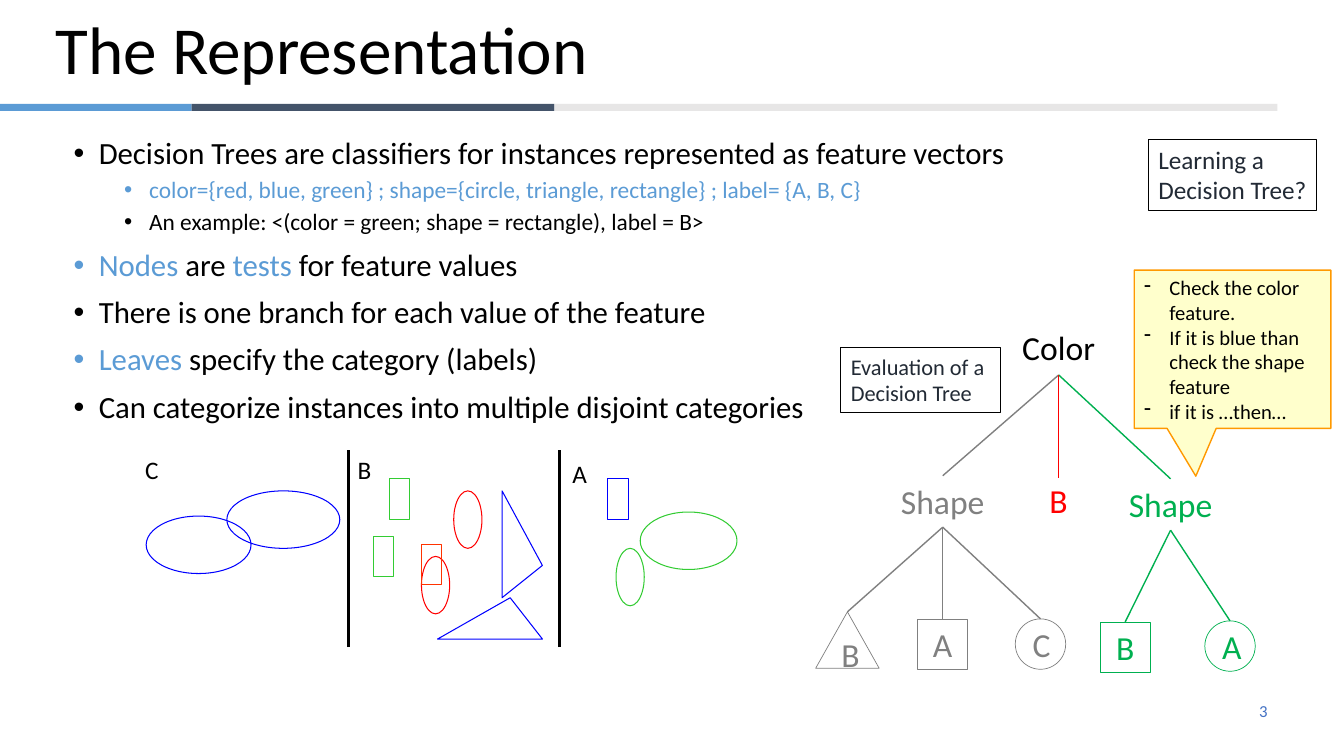
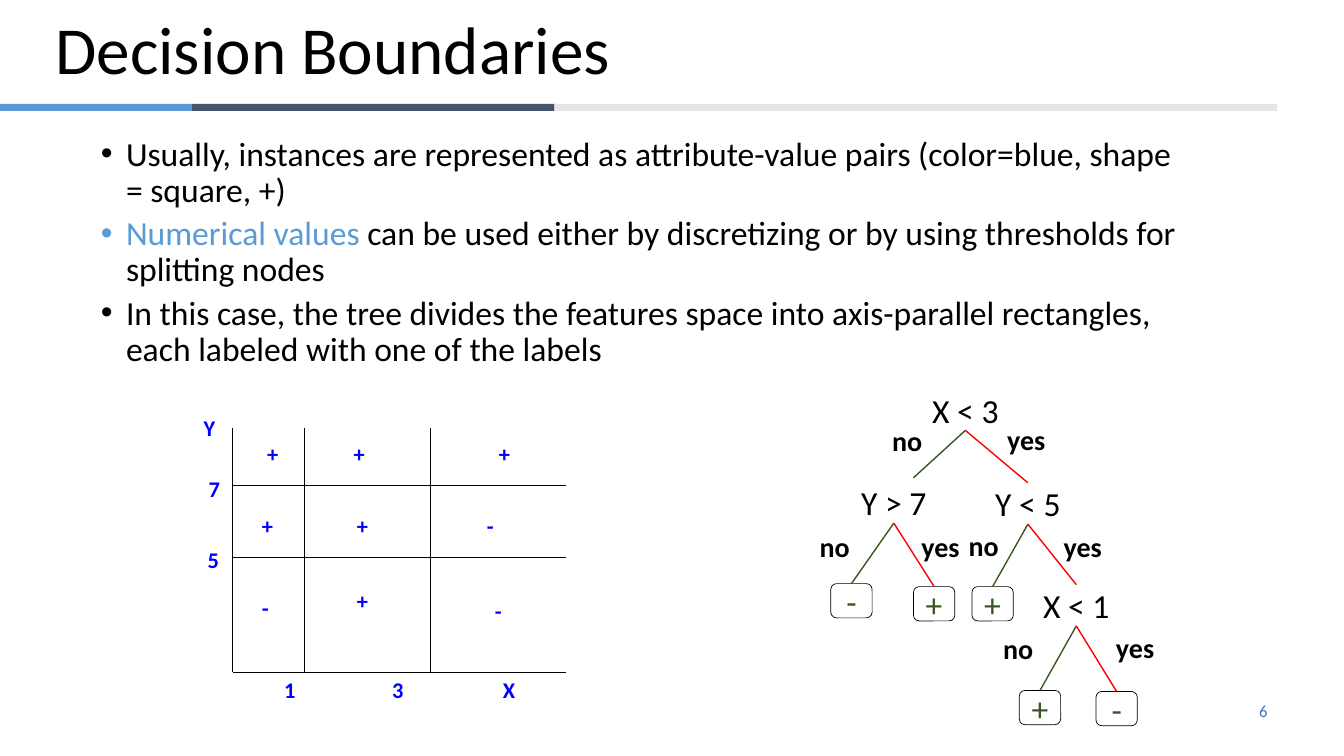
"""Build two slides that introduce decision trees and their boundaries."""
from dataclasses import dataclass

from lxml import etree
from pptx import Presentation
from pptx.dml.color import RGBColor
from pptx.enum.shapes import MSO_CONNECTOR, MSO_SHAPE
from pptx.enum.text import MSO_ANCHOR, MSO_AUTO_SIZE, PP_ALIGN
from pptx.oxml.ns import qn
from pptx.util import Pt

PX = 9144
RECT, ROUND, OVAL = MSO_SHAPE.RECTANGLE, MSO_SHAPE.ROUNDED_RECTANGLE, MSO_SHAPE.OVAL
TRIANGLE, CALLOUT = MSO_SHAPE.ISOSCELES_TRIANGLE, MSO_SHAPE.RECTANGULAR_CALLOUT
STRAIGHT = MSO_CONNECTOR.STRAIGHT
LEFT, CENTER, RIGHT = PP_ALIGN.LEFT, PP_ALIGN.CENTER, PP_ALIGN.RIGHT
TOP, MIDDLE = MSO_ANCHOR.TOP, MSO_ANCHOR.MIDDLE
NO_FIT = MSO_AUTO_SIZE.NONE
TOP_SITE, BOTTOM_SITE = 0, 2


@dataclass(frozen=True)
class Theme:
    font: str = "Calibri"
    ink: str = "000000"
    accent: str = "5B9BD5"
    navy: str = "44546A"
    pale: str = "E7E6E6"
    number: str = "4472C4"
    slate: str = "222A35"
    gray: str = "808080"
    red: str = "FF0000"
    orange_red: str = "FF3300"
    green: str = "00B050"
    lime: str = "33CC33"
    forest: str = "385723"
    blue: str = "0000FF"
    note_fill: str = "FFFFCC"
    note_line: str = "FF9900"
    title_size: float = 48
    node_size: float = 24
    answer_size: float = 20
    label_size: float = 18
    small_size: float = 16
    detail_size: float = 16.7
    note_size: float = 14.7
    number_size: float = 12
    leading: float = 0.9


THEME = Theme()


def px(*lengths):
    return [length * PX for length in lengths]


def rgb(color):
    return RGBColor.from_string(color)


def write(frame, text, *, size, color=THEME.ink, bold=False, align=LEFT,
          level=0, bullet="", leading=None, before=None):
    first = frame.paragraphs[0]
    paragraph = frame.add_paragraph() if first.runs else first
    paragraph.alignment = align
    paragraph.level = level
    if leading:
        paragraph.line_spacing = leading
    if before is not None:
        paragraph.space_before = Pt(before)
    if bullet:
        properties = paragraph._p.get_or_add_pPr()
        properties.set("marL", str((25 + 50 * level) * PX))
        properties.set("indent", str(-25 * PX))
        etree.SubElement(properties, qn("a:buChar")).set("char", bullet)
    for part in [text] if isinstance(text, str) else text:
        words, tint = (part, color) if isinstance(part, str) else part
        run = paragraph.add_run()
        run.text = words
        run.font.name = THEME.font
        run.font.size = Pt(size)
        run.font.bold = bold
        run.font.color.rgb = rgb(tint)


class Deck:
    def __init__(self, width, height):
        self.theme = THEME
        self.presentation = Presentation()
        self.presentation.slide_width, self.presentation.slide_height = px(width, height)
        self.slide = None

    def start(self, title, number):
        theme = self.theme
        layout = self.presentation.slide_layouts[1]
        self.slide = self.presentation.slides.add_slide(layout)
        for left, width, color in ((-1, 191, theme.accent), (190, 360, theme.navy),
                                   (550, 717, theme.pale)):
            self.shape(RECT, (left, 103, width, 7), fill=color)
        heading = self.place(self.slide.shapes.title, (45, 2, 1200, 101), MIDDLE)
        write(heading, title, size=theme.title_size, leading=theme.leading)
        self.label(number, (956, 685, 311, 40), size=theme.number_size,
                   color=theme.number, align=RIGHT, anchor=MIDDLE, wrap=True)

    def place(self, holder, box, anchor):
        holder.left, holder.top, holder.width, holder.height = px(*box)
        frame = holder.text_frame
        frame.auto_size = NO_FIT
        frame.word_wrap = True
        frame.vertical_anchor = anchor
        return frame

    def bullets(self, box, items):
        frame = self.place(self.slide.placeholders[1], box, TOP)
        for level, size, text in items:
            write(frame, text, size=size, level=level, bullet="•",
                  leading=self.theme.leading, before=5 if level else 10)

    def label(self, text, box, anchor=TOP, wrap=False, **style):
        frame = self.slide.shapes.add_textbox(*px(*box)).text_frame
        frame.word_wrap = wrap
        frame.vertical_anchor = anchor
        write(frame, text, **style)

    def outline(self, shape, line, weight, fill=None):
        shape.shadow.inherit = False
        if fill:
            shape.fill.solid()
            shape.fill.fore_color.rgb = rgb(fill)
        else:
            shape.fill.background()
        if line:
            shape.line.color.rgb = rgb(line)
            shape.line.width = Pt(weight)
        else:
            shape.line.fill.background()
        return shape

    def shape(self, kind, box, line=None, weight=0.75, fill=None):
        return self.outline(self.slide.shapes.add_shape(kind, *px(*box)), line, weight, fill)

    def polygon(self, points, color):
        builder = self.slide.shapes.build_freeform(*points[0], scale=PX)
        builder.add_line_segments(points[1:], close=True)
        self.outline(builder.convert_to_shape(), color, 0.75)

    def node(self, text, kind, box, color, line=None):
        node = self.shape(kind, box, line, 0.5)
        node.text_frame.vertical_anchor = MIDDLE
        write(node.text_frame, text, size=self.theme.node_size, color=color, align=CENTER)
        return node

    def caption(self, lines, box, size):
        frame = self.shape(RECT, box, self.theme.ink).text_frame
        frame.word_wrap = False
        frame.vertical_anchor = TOP
        for line in lines:
            write(frame, line, size=size, color=self.theme.slate)

    def callout(self, items, box, tip):
        theme = self.theme
        note = self.shape(CALLOUT, box, theme.note_line, 1, theme.note_fill)
        note.adjustments[0], note.adjustments[1] = tip
        note.text_frame.vertical_anchor = MIDDLE
        for item in items:
            write(note.text_frame, item, size=theme.note_size, bullet="-")

    def line(self, start, end, color=THEME.ink, weight=0.75):
        line = self.slide.shapes.add_connector(STRAIGHT, *px(*start, *end))
        line.line.color.rgb = rgb(color)
        line.line.width = Pt(weight)
        etree.SubElement(line._element.spPr, qn("a:effectLst"))
        return line

    def branch(self, parent, color, child=None, tip=(0, 0)):
        branch = self.line((0, 0), tip, color, 1)
        branch.begin_connect(parent, BOTTOM_SITE)
        if child:
            branch.end_connect(child, TOP_SITE)


def representation(deck):
    theme = deck.theme
    gray, green, red, blue, lime = theme.gray, theme.green, theme.red, theme.blue, theme.lime
    deck.start("The Representation", "3")
    deck.bullets((63, 132, 1200, 538), [
        (0, 22, "Decision Trees are classifiers for instances represented as feature vectors"),
        (1, theme.detail_size, [("color={red, blue, green} ; shape={circle, triangle, "
                                 "rectangle} ; label= {A, B, C}", theme.accent)]),
        (1, theme.detail_size, "An example: <(color = green; shape = rectangle), label = B>"),
        (0, 22, [("Nodes", theme.accent), " are ", ("tests", theme.accent),
                 " for feature values"]),
        (0, 22, "There is one branch for each value of the feature"),
        (0, 22, [("Leaves", theme.accent), " specify the category (labels)"]),
        (0, 22, "Can categorize instances into multiple disjoint categories"),
    ])
    deck.caption(["Evaluation of a", "Decision Tree"], (834, 345, 158, 64), theme.small_size)
    deck.caption(["Learning a", "Decision Tree?"], (1139, 138, 167, 71), theme.label_size)

    root = deck.node("Color", ROUND, (971, 316, 158, 56), theme.ink)
    gray_test = deck.node("Shape", ROUND, (856, 472, 158, 51), gray)
    green_test = deck.node("Shape", ROUND, (1082, 475, 158, 51), green)
    red_leaf = deck.node("B", OVAL, (1010, 474, 80, 45), red)
    for child, color in ((gray_test, gray), (green_test, green), (red_leaf, red)):
        deck.branch(root, color, child)
    for parent, color, text, kind, box in (
            (gray_test, gray, "B", TRIANGLE, (809, 607, 63, 56)),
            (gray_test, gray, "A", RECT, (910, 614, 50, 50)),
            (gray_test, gray, "C", OVAL, (1007, 614, 50, 50)),
            (green_test, green, "B", RECT, (1091, 617, 50, 50)),
            (green_test, green, "A", OVAL, (1195, 616, 50, 50))):
        deck.branch(parent, color, deck.node(text, kind, box, color, color))

    for left, top, color in ((418, 552, red), (450, 487, red), (611, 544, lime)):
        deck.shape(OVAL, (left, top, 28, 57), color)
    for left, top, width, color in ((145, 512, 104, blue), (225, 487, 112, blue),
                                    (635, 508, 96, lime)):
        deck.shape(OVAL, (left, top, width, 57), color)
    for left, top, color in ((603, 475, blue), (386, 475, lime), (370, 532, lime),
                             (418, 540, theme.orange_red)):
        deck.shape(RECT, (left, top, 20, 40), color)
    deck.polygon([(506, 593), (434, 634), (538, 634)], blue)
    deck.polygon([(498, 487), (498, 593), (538, 561)], blue)
    for x in (346, 555):
        deck.line((x, 642), (x, 446), weight=2.25)
    for text, left, top in (("C", 134, 446), ("B", 345, 446), ("A", 558, 450)):
        deck.label(text, (left, top, 37, 40), size=theme.label_size)

    deck.callout(["Check the color feature.", "If it is blue than check the shape feature",
                  "if it is …then…"], (1125, 268, 195, 157), (-0.187, 0.802))


def boundaries(deck):
    theme = deck.theme
    no_color, yes_color = theme.forest, theme.red
    deck.start("Decision Boundaries", "6")
    deck.bullets((-10, 131, 1200, 538), [(2, 24, text) for text in (
        "Usually, instances are represented as attribute-value pairs "
        "(color=blue, shape = square, +)",
        [("Numerical values ", theme.accent),
         "can be used either by discretizing or by using thresholds for splitting nodes"],
        "In this case, the tree divides the features space into axis-parallel rectangles, "
        "each labeled with one of the labels")])

    for x in (231, 302, 427):
        deck.line((x, 425), (x, 667))
    for y in (482, 553, 667):
        deck.line((231, y), (561, y))
    for text, left, top in (
            ("Y", 192, 406), ("7", 197, 466), ("5", 196, 537),
            ("1", 272, 666), ("3", 379, 666), ("X", 489, 666),
            ("+", 255, 432), ("+", 341, 432), ("+", 485, 432),
            ("+", 250, 503), ("+", 344, 503), ("-", 473, 503),
            ("-", 250, 585), ("+", 344, 578), ("-", 481, 588)):
        deck.label(text, (left, top, 27 if text == "-" else 31, 37),
                   size=theme.small_size, color=theme.blue, bold=True)

    root, high_y, low_y, low_x = [
        deck.node(text, ROUND, (left, top, 155, 41), theme.ink)
        for text, left, top in (("X < 3", 880, 386), ("Y > 7", 809, 478),
                                ("Y < 5", 942, 479), ("X < 1", 990, 580))]
    deck.branch(root, no_color, tip=(906, 474))
    deck.branch(root, yes_color, low_y)
    deck.branch(low_y, yes_color, low_x)
    for parent, color, sign, left, top in (
            (high_y, no_color, "-", 824, 579), (high_y, yes_color, "+", 906, 582),
            (low_y, no_color, "+", 964, 582), (low_x, no_color, "+", 1011, 685),
            (low_x, yes_color, "-", 1087, 686)):
        leaf = deck.node(sign, ROUND, (left, top, 41, 34), theme.forest, theme.ink)
        deck.branch(parent, color, leaf)
    for answer, width, corners in (
            ("yes", 59, ((989, 414), (1045, 520), (904, 520), (1097, 621))),
            ("no", 50, ((875, 415), (803, 520), (951, 519), (985, 622)))):
        for left, top in corners:
            deck.label(answer, (left, top, width, 44), size=theme.answer_size, bold=True)


def main():
    deck = Deck(1333, 750)
    representation(deck)
    boundaries(deck)
    deck.presentation.save("out.pptx")


if __name__ == "__main__":
    main()
